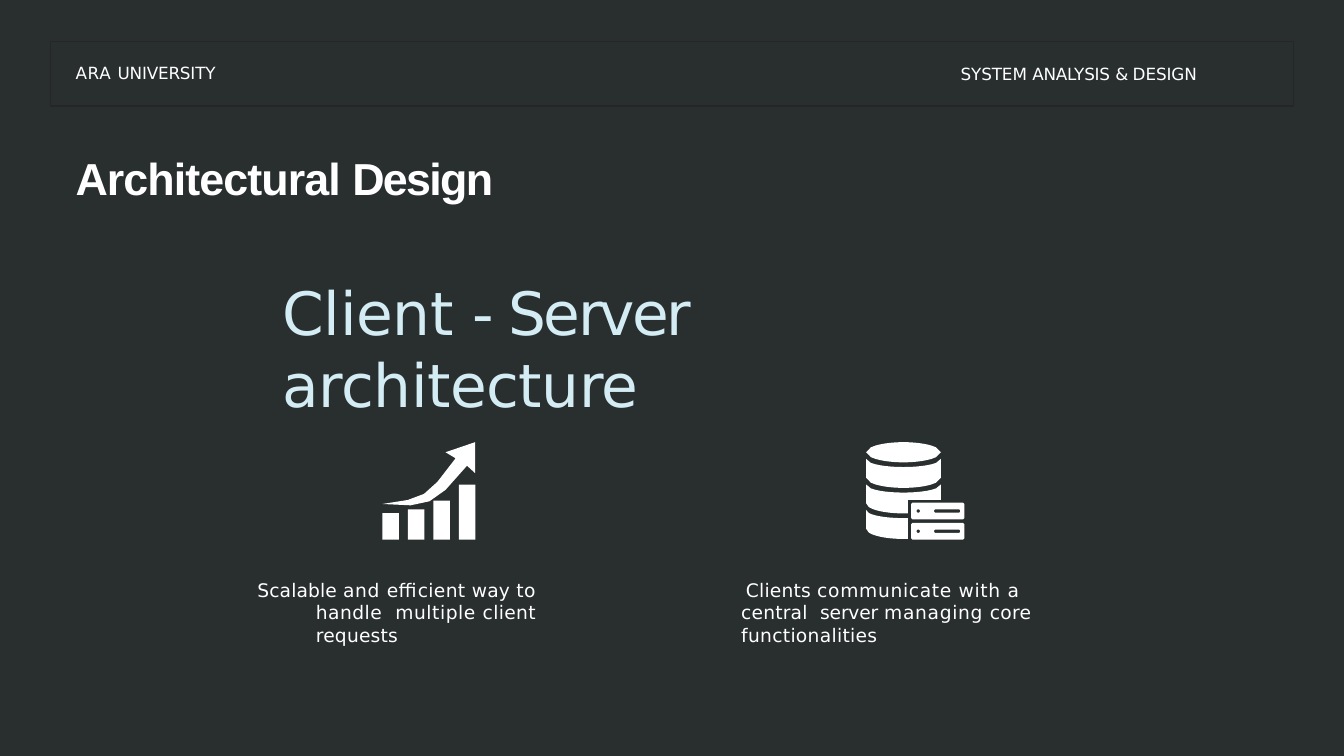
from math import sqrt

from pptx import Presentation
from pptx.dml.color import RGBColor
from pptx.enum.shapes import MSO_SHAPE as Preset
from pptx.enum.text import MSO_AUTO_SIZE as AutoSize
from pptx.util import Inches, Pt

COLUMNS, ROWS = 200, 112.5
COLORS = {
    "background": "292E2F",
    "frame": "262626",
    "white": "FFFFFF",
    "heading": "D4ECF4",
}
BODY_FONT, TITLE_FONT = "DejaVu Sans", "Arial"


def grid(count):
    return Inches(count * 20 / COLUMNS)


def color(name):
    return RGBColor.from_string(COLORS[name])


def paint(shape, fill=None, line=None):
    shape.shadow.inherit = False
    if fill:
        shape.fill.solid()
        shape.fill.fore_color.rgb = color(fill)
    else:
        shape.fill.background()
    if line:
        shape.line.color.rgb = color(line)
        shape.line.width = Pt(1.5)
    else:
        shape.line.fill.background()


def add_rectangle(slide, left, top, width, height, fill=None, line=None):
    shape = slide.shapes.add_shape(Preset.RECTANGLE, *map(grid, (left, top, width, height)))
    paint(shape, fill, line)


def add_outline(slide, contours):
    contours = [[(grid(column), grid(row)) for column, row in contour]
                for contour in contours]
    builder = slide.shapes.build_freeform(*contours[0][0], scale=1)
    for index, (start, *corners) in enumerate(contours):
        if index:
            builder.move_to(*start)
        builder.add_line_segments(corners, close=True)
    paint(builder.convert_to_shape(), "white")


def bevelled(left, top, width, height, cut=0):
    right, bottom = left + width, top + height
    return [(left + cut, top), (right - cut, top), (right, top + cut), (right, bottom - cut),
            (right - cut, bottom), (left + cut, bottom), (left, bottom - cut), (left, top + cut)]


def add_text_box(slide, left, top, width, height, inset=0.2):
    text_box = slide.shapes.add_textbox(*map(grid, (left, top, width, height)))
    text_frame = text_box.text_frame
    text_frame.word_wrap = True
    text_frame.auto_size = AutoSize.SHAPE_TO_FIT_TEXT
    text_frame.margin_left = text_frame.margin_right = text_frame.margin_bottom = 0
    text_frame.margin_top = grid(inset)
    return text_frame


def write(paragraph, pieces, size, font=BODY_FONT, ink="white", bold=False,
          before=1, margin=0.15, indent=0):
    paragraph.space_before = Pt(before)
    properties = paragraph._p.get_or_add_pPr()
    properties.set("marL", str(grid(margin)))
    properties.set("indent", str(grid(indent)))
    for text, spacing in pieces:
        run = paragraph.add_run()
        run.text = text
        run.font.size = Pt(size)
        run.font.name = font
        run.font.bold = bold
        run.font.color.rgb = color(ink)
        run._r.get_or_add_rPr().set("spc", str(round(spacing * 100)))


def add_header(slide):
    add_rectangle(slide, 7.5, 6.2, 185, 9.6, line="frame")
    school = add_text_box(slide, 11.1, 9.1, 21.9, 3.3)
    write(school.paragraphs[0], [("ARA ", 0.7), ("UNIVERSITY", -0.2)], 18)
    course = add_text_box(slide, 142.8, 9.3, 36.6, 3.3)
    write(course.paragraphs[0], [("SYSTEM ", -0.1), ("ANALYSIS ", -0.2),
                                 ("& ", -1.1), ("DESIGN", -0.1)], 18)


def add_titles(slide):
    titles = add_text_box(slide, 11.1, 22.2, 145.7, 29.1)
    write(titles.paragraphs[0], [("Architectural ", -1), ("Design", -1.8)],
          48, TITLE_FONT, bold=True)
    write(titles.add_paragraph(), [("Client ", -0.3), ("- ", -4.7), ("Server ", -2.8),
                                   ("architecture", -0.5)],
          64, ink="heading", before=76.5, margin=30.95)


def add_growth_icon(slide):
    left, bottom, pitch, bar_width = 56.9, 80.3, 3.8, 2.45
    bars = [bevelled(left + index * pitch, bottom - height, bar_width, height)
            for index, height in enumerate((3.95, 4.5, 5.8, 8.2))]
    arrow = [(70.7, 65.8), (66.3, 67.3), (67.8, 68.2), (65.1, 71.7), (63.1, 73.5),
             (60.7, 74.4), (56.9, 75), (61.1, 75.2), (63.9, 74.6), (66.3, 72.9),
             (69.5, 69.3), (70.7, 70.4)]
    for contours in (bars[:1], bars[1:2], bars[2:] + [arrow]):
        add_outline(slide, contours)


def add_database_icon(slide):
    left, top, width, pitch = 128.9, 65.8, 11.1, 3.8
    right, cut_column, cut_row = left + width, 135.1, 74.4

    def arc(row, depth, end=right):
        columns = [left + (end - left) * step / 16 for step in range(17)]
        shares = [2 * (column - left) / width - 1 for column in columns]
        return [(column, row + depth * sqrt(max(0, 1 - share ** 2)))
                for column, share in zip(columns, shares)]

    def band(index, top_end, bottom_end, notch=()):
        row = top + 2.5 + index * pitch
        return arc(row, 1.2, top_end) + list(notch) + arc(row + 2.8, 1.5, bottom_end)[::-1]

    contours = [
        arc(top + 1.5, -1.5) + arc(top + 1.5, 1.5)[::-1],
        band(0, right, right),
        band(1, right, cut_column, [(right, cut_row), (cut_column, cut_row)]),
        band(2, cut_column, cut_column),
    ]
    for row in (74.8, 77.8):
        contours += [
            bevelled(135.6, row, 7.9, 2.5, 0.2),
            bevelled(136.4, row + 1, 0.5, 0.5, 0.15),
            bevelled(139, row + 1, 3.9, 0.5, 0.15),
        ]
    add_outline(slide, contours)


def add_captions(slide):
    scaling = add_text_box(slide, 38.2, 85.9, 51.2, 6.9)
    write(scaling.paragraphs[0], [
        ("Scalable ", 0.1), ("and ", 0.7), ("efficient ", 0.3), ("way ", 0.2),
        ("to handle  ", 0.5), ("multiple ", 0.6), ("client ", 0.4), ("requests", 0.2),
    ], 20, margin=8.8, indent=-8.7)
    serving = add_text_box(slide, 110.2, 85.9, 52.1, 6.9)
    write(serving.paragraphs[0], [
        ("Clients ", 0.2), ("communicate with ", 0.7), ("a ", -0.1), ("central  ", 0.2),
        ("server ", -0.2), ("managing ", 0.7), ("core functionalities", 0.3),
    ], 20, margin=0.1, indent=0.7)


def main():
    presentation = Presentation()
    presentation.slide_width = grid(COLUMNS)
    presentation.slide_height = grid(ROWS)
    slide = presentation.slides.add_slide(presentation.slide_layouts[6])
    add_rectangle(slide, 0, 0, COLUMNS, ROWS, "background")
    add_header(slide)
    add_growth_icon(slide)
    add_database_icon(slide)
    add_captions(slide)
    add_titles(slide)
    presentation.save("out.pptx")


if __name__ == "__main__":
    main()
